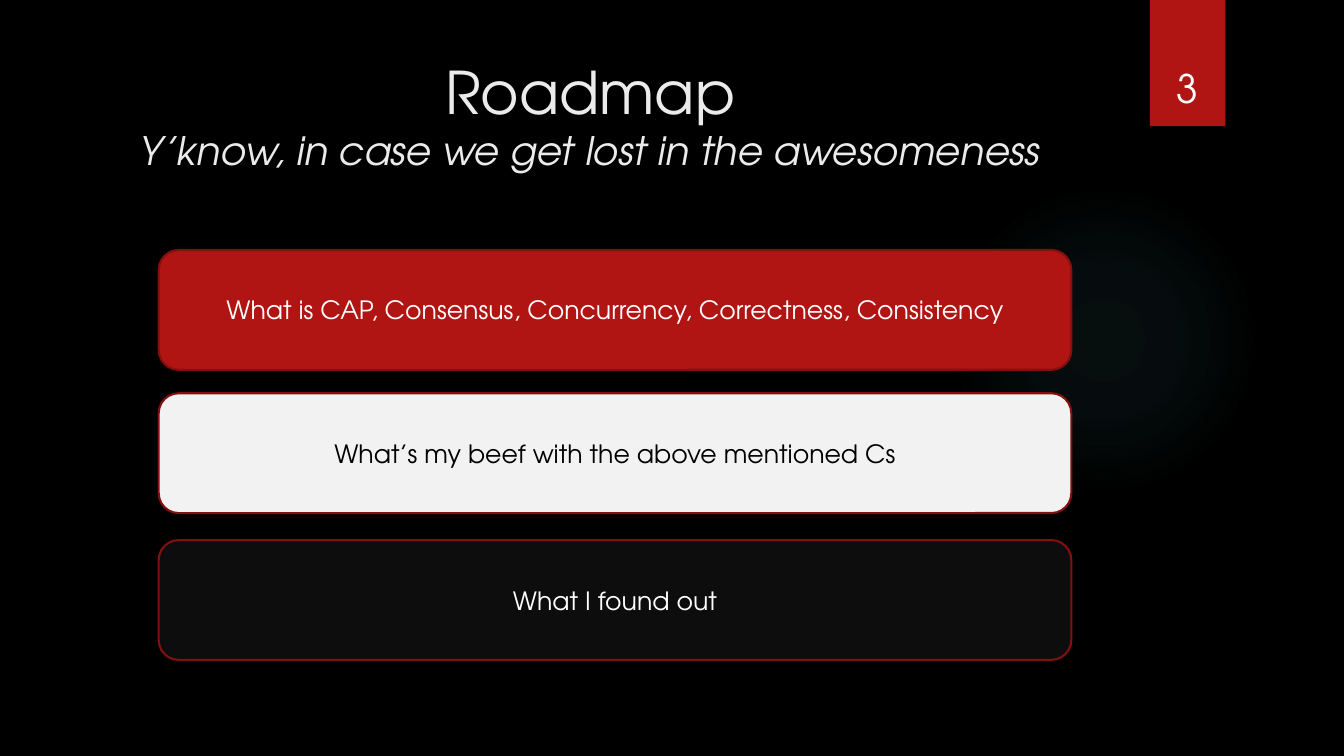
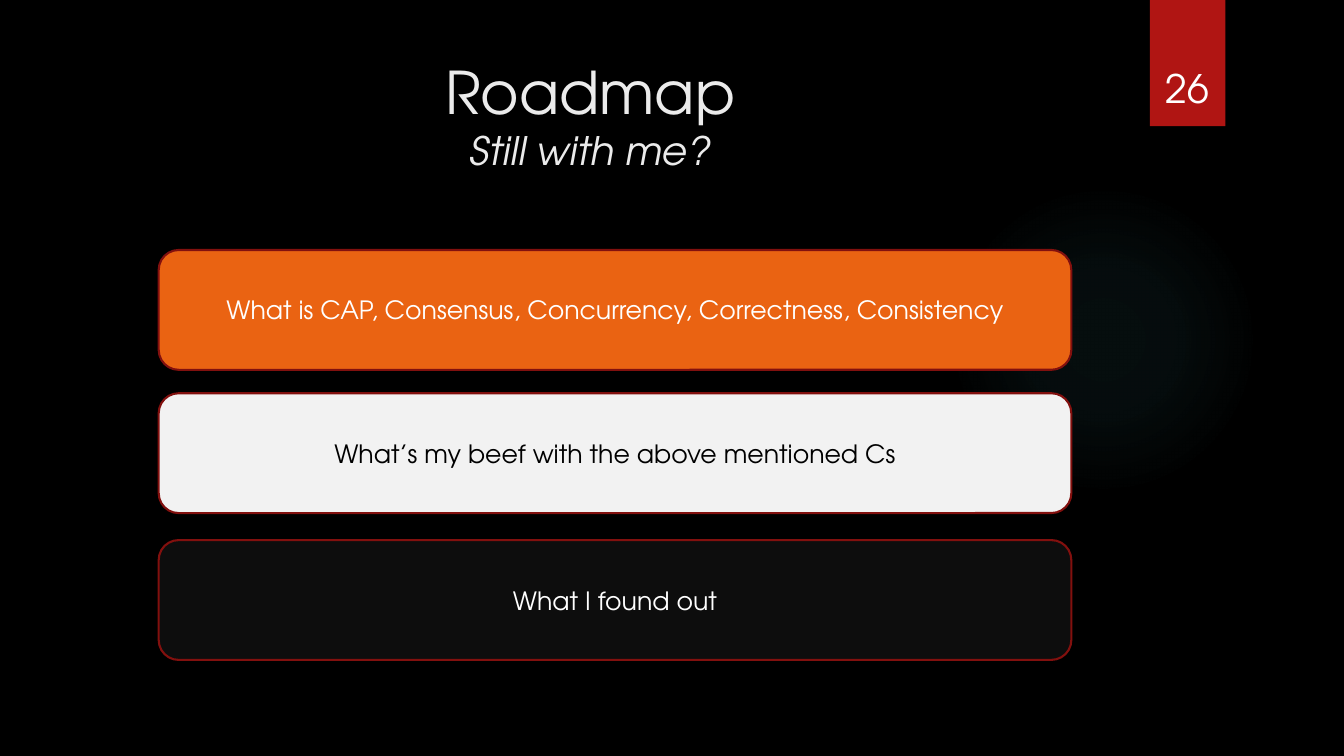
from lxml import etree
from pptx import Presentation
from pptx.dml.color import RGBColor
from pptx.enum.shapes import MSO_SHAPE
from pptx.enum.text import MSO_ANCHOR, MSO_AUTO_SIZE, PP_ALIGN
from pptx.oxml.ns import qn
from pptx.util import Cm, Pt

OVAL, RECT, ROUNDED = MSO_SHAPE.OVAL, MSO_SHAPE.RECTANGLE, MSO_SHAPE.ROUNDED_RECTANGLE
TOP, MIDDLE, BOTTOM = MSO_ANCHOR.TOP, MSO_ANCHOR.MIDDLE, MSO_ANCHOR.BOTTOM
CENTER = PP_ALIGN.CENTER
NO_AUTOFIT = MSO_AUTO_SIZE.NONE

FONT = "TeX Gyre Adventor"
BLACK = RGBColor(0x00, 0x00, 0x00)
WHITE = RGBColor(0xFF, 0xFF, 0xFF)
TITLE_GREY = RGBColor(0xEB, 0xEB, 0xEB)
RED = RGBColor(0xB0, 0x15, 0x13)
DARK_RED = RGBColor(0x82, 0x10, 0x0E)
ORANGE = RGBColor(0xEA, 0x63, 0x12)
PALE = RGBColor(0xF2, 0xF2, 0xF2)
NEAR_BLACK = RGBColor(0x0D, 0x0D, 0x0D)
GLOW = RGBColor(0x50, 0xB9, 0xC1)
GLOW_STOPS = [(0, 7), (36, 6), (69, 0)]

TOPICS = [
    ("What is CAP, Consensus, Concurrency, Correctness, Consistency", 6.3),
    ("What’s my beef with the above mentioned Cs", 9.91),
    ("What I found out", 13.61),
]
SLIDES = [
    ("Y’know, in case we get lost in the awesomeness", "3", RED),
    ("Still with me?", "26", ORANGE),
]


def style(p, size, color):
    p.alignment = CENTER
    p.font.name = FONT
    p.font.size = Pt(size)
    p.font.color.rgb = color


def add_shape(s, kind, left, top, width, height, fill):
    sp = s.shapes.add_shape(kind, Cm(left), Cm(top), Cm(width), Cm(height))
    sp.shadow.inherit = False
    sp.fill.solid()
    sp.fill.fore_color.rgb = fill
    sp.line.fill.background()
    return sp


def set_glow(sp):
    solid = sp.element.spPr.find(qn("a:solidFill"))
    grad = etree.Element(qn("a:gradFill"), rotWithShape="1")
    stops = etree.SubElement(grad, qn("a:gsLst"))
    for pos, alpha in GLOW_STOPS:
        gs = etree.SubElement(stops, qn("a:gs"), pos=str(pos * 1000))
        color = etree.SubElement(gs, qn("a:srgbClr"), val=str(GLOW))
        etree.SubElement(color, qn("a:alpha"), val=str(alpha * 1000))
    circle = etree.SubElement(grad, qn("a:path"), path="circle")
    etree.SubElement(circle, qn("a:fillToRect"), l="50000", t="50000", r="50000", b="50000")
    solid.getparent().replace(solid, grad)


def build_layout(prs, layout):
    bg = prs.slide_master.background.fill
    bg.solid()
    bg.fore_color.rgb = BLACK

    title = layout.placeholders[0]
    title.left, title.top, title.width, title.height = Cm(1.8), Cm(1.27), Cm(26.14), Cm(3.89)
    title.text_frame.vertical_anchor = TOP
    title.text_frame.auto_size = NO_AUTOFIT


def move_to_layout(layout, shapes):
    for index, sp in enumerate(shapes, start=2):
        layout.shapes.element.insert(index, sp.element)


def add_decor(s, layout):
    glow = add_shape(s, OVAL, 23.9, 4.65, 7.82, 7.82, GLOW)
    set_glow(glow)
    ribbon = add_shape(s, RECT, 28.98, 0, 1.9, 3.18, RED)
    move_to_layout(layout, [glow, ribbon])


def add_title(s, heading, subtitle):
    p = s.shapes.title.text_frame.paragraphs[0]
    style(p, 42, TITLE_GREY)
    p.add_run().text = heading
    p.add_line_break()
    r = p.add_run()
    r.text = subtitle
    r.font.size = Pt(28)
    r.font.italic = True


def add_number(s, number):
    tf = s.shapes.add_textbox(Cm(28.75), Cm(0.81), Cm(2.34), Cm(2.13)).text_frame
    tf.word_wrap = True
    tf.vertical_anchor = BOTTOM
    tf.text = number
    style(tf.paragraphs[0], 28, WHITE)


def add_topic(s, text, top, fill, color):
    sp = add_shape(s, ROUNDED, 4, top, 23, 3.02, fill)
    sp.line.color.rgb = DARK_RED
    sp.line.width = Pt(1.5)
    tf = sp.text_frame
    tf.vertical_anchor = MIDDLE
    tf.text = text
    style(tf.paragraphs[0], 18, color)


def add_roadmap(s, subtitle, number, first_fill):
    add_title(s, "Roadmap", subtitle)
    add_number(s, number)
    colors = [(first_fill, WHITE), (PALE, BLACK), (NEAR_BLACK, WHITE)]
    for (text, top), (fill, color) in zip(TOPICS, colors):
        add_topic(s, text, top, fill, color)


def main():
    prs = Presentation()
    prs.slide_width, prs.slide_height = Cm(33.87), Cm(19.05)
    layout = prs.slide_layouts[5]
    build_layout(prs, layout)
    slides = [prs.slides.add_slide(layout) for _ in SLIDES]
    add_decor(slides[0], layout)
    for s, content in zip(slides, SLIDES):
        add_roadmap(s, *content)
    prs.save("out.pptx")


if __name__ == "__main__":
    main()
